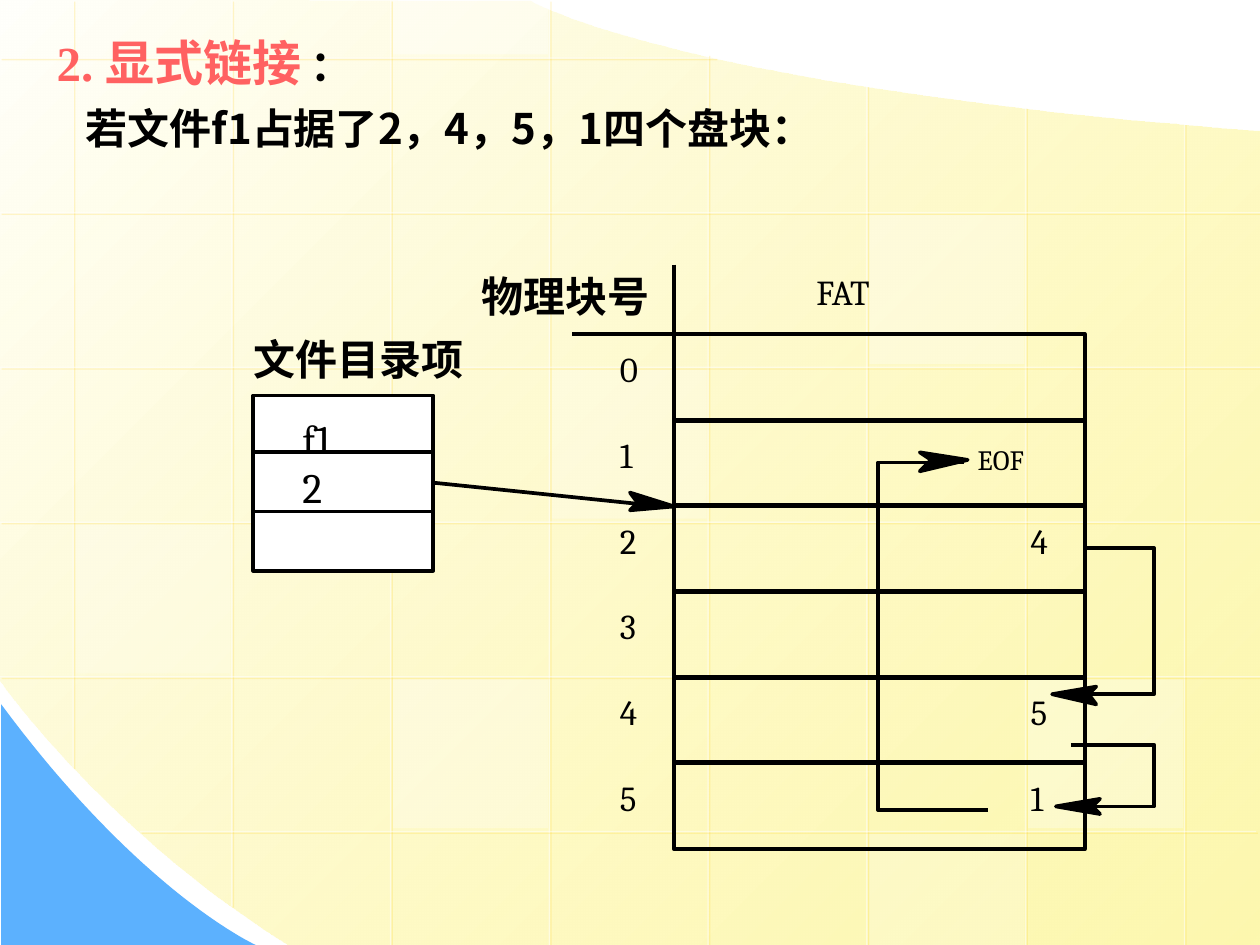
from pptx import Presentation
from pptx.dml.color import RGBColor
from pptx.enum.shapes import MSO_CONNECTOR as Connector, MSO_SHAPE as Preset
from pptx.enum.text import MSO_ANCHOR as Anchor, MSO_AUTO_SIZE as AutoSize, PP_ALIGN as Align
from pptx.oxml.ns import qn
from pptx.util import Inches, Pt
from lxml.etree import SubElement

BLACK, WHITE, BLUE, RED = "000000", "FFFFFF", "5CB1FE", "FF6161"
SERIF, SANS, TITLE_FONT = "Cambria", "Noto Sans CJK SC", "Times New Roman"
COLUMNS, ROWS = 100, 75


def grid(units):
    """Turn grid columns or rows (a hundred columns across the page) into EMU."""
    return int(round(units * Inches(0.1)))


def rgb(colour):
    return RGBColor.from_string(colour)


def set_opacity(parent, percent):
    for colour in parent.iter(qn("a:srgbClr")):
        SubElement(colour, qn("a:alpha"), val=str(percent * 1000))


def curve(start, control1, control2, end, steps=40):
    """Points along a cubic Bezier curve."""
    points = []
    for step in range(steps + 1):
        t = step / steps
        weights = ((1 - t) ** 3, 3 * t * (1 - t) ** 2, 3 * t * t * (1 - t), t ** 3)
        points.append(tuple(
            sum(w * p[axis] for w, p in zip(weights, (start, control1, control2, end)))
            for axis in (0, 1)))
    return points


class SlideBuilder:
    """Holds the ink style and the current page; lengths are grid units."""

    def __init__(self, page, ink=BLACK, weight=2.13):
        self.page, self.ink, self.weight = page, ink, weight

    def finish(self, shape, fill=None, outlined=True):
        shape.shadow.inherit = False
        if fill:
            shape.fill.solid()
            shape.fill.fore_color.rgb = rgb(fill)
        else:
            shape.fill.background()
        if outlined:
            shape.line.color.rgb = rgb(self.ink)
            shape.line.width = Pt(self.weight)
        else:
            shape.line.fill.background()
        return shape

    def box(self, left, top, width, height, fill=None, outlined=True):
        shape = self.page.shapes.add_shape(
            Preset.RECTANGLE, grid(left), grid(top), grid(width), grid(height))
        return self.finish(shape, fill, outlined)

    def outline(self, points, fill=None, outlined=True):
        """A polygon when filled, otherwise an open path."""
        corners = [(grid(x), grid(y)) for x, y in points]
        builder = self.page.shapes.build_freeform(*corners[0])
        builder.add_line_segments(corners[1:], close=fill is not None)
        return self.finish(builder.convert_to_shape(), fill, outlined)

    def line(self, start, end):
        line = self.page.shapes.add_connector(
            Connector.STRAIGHT, *map(grid, (*start, *end)))
        line.line.color.rgb = rgb(self.ink)
        line.line.width = Pt(self.weight)
        SubElement(line._element.spPr, qn("a:effectLst"))
        return line

    def grid_line(self, start, end):
        """A faint white line with a soft yellow shadow."""
        line = self.line(start, end)
        line.line.color.rgb = rgb(WHITE)
        line.line.width = Pt(0.75)
        properties = line._element.spPr
        set_opacity(properties.find(qn("a:ln")), 50)
        shadow = SubElement(properties.find(qn("a:effectLst")), qn("a:outerShdw"),
                            dist=str(Pt(1.4)), dir="2700000", algn="ctr", rotWithShape="0")
        SubElement(shadow, qn("a:srgbClr"), val="FFCC00")
        set_opacity(shadow, 34)

    def span(self, para, text, size, font=SERIF, colour=BLACK, bold=False):
        span = para.add_run()
        span.text = text
        span.font.size, span.font.name, span.font.bold = Pt(size), font, bold
        span.font.color.rgb = rgb(colour)
        SubElement(span._r.get_or_add_rPr(), qn("a:ea"), typeface=SANS)

    def text(self, left, top, width, height, text, size, font=SERIF, bold=False):
        box = self.page.shapes.add_textbox(grid(left), grid(top), grid(width), grid(height))
        frame = box.text_frame
        frame.margin_left = frame.margin_right = frame.margin_top = frame.margin_bottom = 0
        frame.word_wrap = False
        frame.auto_size = AutoSize.SHAPE_TO_FIT_TEXT
        self.span(frame.paragraphs[0], text, size, font, bold=bold)

    def title(self, left, top, width, height, spans):
        title = self.page.shapes.title
        title.left, title.top, title.width, title.height = map(
            grid, (left, top, width, height))
        frame = title.text_frame
        frame.vertical_anchor, frame.auto_size = Anchor.TOP, AutoSize.NONE
        frame.word_wrap = True
        para = frame.paragraphs[0]
        para.alignment = Align.LEFT
        for text, size, colour in spans:
            self.span(para, text, size, TITLE_FONT, colour, bold=True)
        self.page.shapes._spTree.append(title._element)


def draw_background(slide):
    panel = slide.outline(
        curve((23, 75), (8.6, 66.1), (-0.1, 53.9), (0, 53.9))
        + [(-0.1, -0.1)]
        + curve((42.1, 0.1), (42.1, 0.1), (53.7, 6.9), (100, 10.4))
        + [(100, 75)], fill=WHITE, outlined=False)
    panel.fill.gradient()
    panel.fill.gradient_angle = 315
    first, last = panel.fill.gradient_stops
    first.position, last.position = 0, 1
    first.color.rgb, last.color.rgb = rgb("FFFFFB"), rgb("FDF58D")
    set_opacity(panel._element.spPr.findall(".//" + qn("a:gs"))[-1], 70)
    slide.outline([(0.1, 75)] + curve((20.3, 75), (20.3, 75), (11.2, 70.9), (0.1, 55.9)),
                  fill=BLUE, outlined=False)

    pitch_x, pitch_y = 12.6, 12.28
    tops = (0, 0, 0, 0, 4.3, 6.8, 8.5, 9.8)
    bottoms = (60.9, 71.9) + (COLUMNS * 0.75,) * 6
    for column, (top, bottom) in enumerate(zip(tops, bottoms)):
        x = 5.8 + column * pitch_x
        slide.grid_line((x, top), (x, bottom))
    for row, (left, right) in enumerate([(0, 56.8)] + [(0, COLUMNS)] * 4 + [(11.1, 99.7)]):
        y = 4.6 + row * pitch_y
        slide.grid_line((right, y), (left, y))

    patches = ((3, 2, 25), (6, 4, 30), (0, 3, 20), (5, 5, 20), (2, -1, 40), (2, 4, 30), (5, 1, 30))
    for column, row, opacity in patches:
        top = 4.8 + row * pitch_y
        bottom = min(top + 11.8, ROWS)
        top = max(top, 0)
        patch = slide.box(6 + column * pitch_x, top, 12.3, bottom - top, WHITE, outlined=False)
        set_opacity(patch._element.spPr, opacity)


def draw_allocation_table(slide):
    left, top, pitch = 53.5, 26.5, 6.8
    entries = {2: "4", 4: "5", 5: "1"}
    for block in range(6):
        y = top + block * pitch
        slide.box(left, y, 32.6, 6.9)
        slide.text(49.2, y + 1.1, 1.5, 3.3, str(block), 20)
        if block in entries:
            slide.text(81.8, y + 1.1, 1.5, 3.3, entries[block], 20)
    slide.line((left, 21), (left, top))
    slide.line((left, top), (45.4, top))
    slide.text(38.2, 21.5, 13.4, 4, "物理块号", 24, bold=True)
    slide.text(64.8, 21.5, 5.3, 3.3, "FAT", 20)
    slide.text(77.6, 35.1, 5.8, 2.7, "EOF", 16)

    slide.outline([(86.1, 43.5), (91.6, 43.5), (91.6, 55.1), (85, 55.1)])
    slide.outline([(85, 59.1), (91.6, 59.1), (91.6, 64), (84.1, 64)])
    slide.outline([(76.5, 36.7), (69.7, 36.7), (69.7, 64.3), (78.4, 64.3)])
    for head in ([(87, 54.5), (86.4, 55.1), (87, 55.9), (83.5, 55.1)],
                 [(87.3, 63.4), (86.7, 64), (87.3, 64.6), (83.8, 64)],
                 [(73, 35.9), (73.9, 36.5), (73, 37.4), (76.8, 36.5)]):
        slide.outline(head, fill=BLACK)


def draw_directory_entry(slide):
    slide.text(20.1, 26.5, 16.8, 4, "文件目录项", 24, bold=True)
    slide.box(20.1, 31.4, 14.3, 4.6, WHITE)
    slide.text(24, 32.8, 3.9, 4, "f1", 24)
    slide.box(20.1, 35.9, 14.3, 5.1, WHITE)
    slide.text(24, 36.6, 1.9, 4, "2", 24)
    slide.box(20.1, 40.6, 14.3, 4.7, WHITE)
    slide.line((34.3, 38.3), (51.7, 40.1))
    slide.outline([(50, 39.1), (50.6, 39.9), (50, 40.5), (53.5, 40.2)], fill=BLACK)


def main():
    deck = Presentation()
    deck.slide_width, deck.slide_height = grid(COLUMNS), grid(ROWS)
    slide = SlideBuilder(deck.slides.add_slide(deck.slide_layouts[5]))
    draw_background(slide)
    slide.title(3.5, 2.1, 52.8, 5.7, [("2. 显式链接", 28, RED), (" ：", 24, BLACK)])
    slide.text(6.8, 8.1, 85, 4, "若文件f1占据了2，4，5，1四个盘块：", 24, SANS, bold=True)
    draw_allocation_table(slide)
    draw_directory_entry(slide)
    deck.save("out.pptx")


if __name__ == "__main__":
    main()
